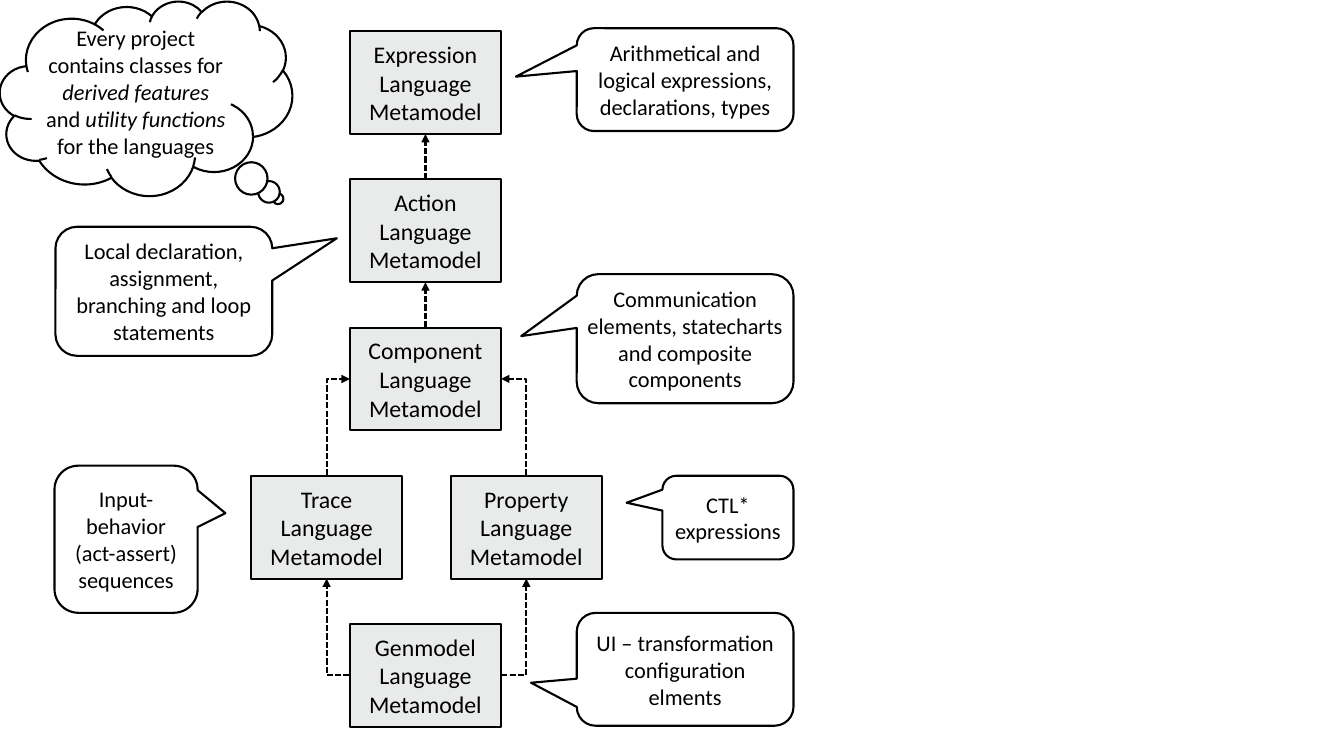
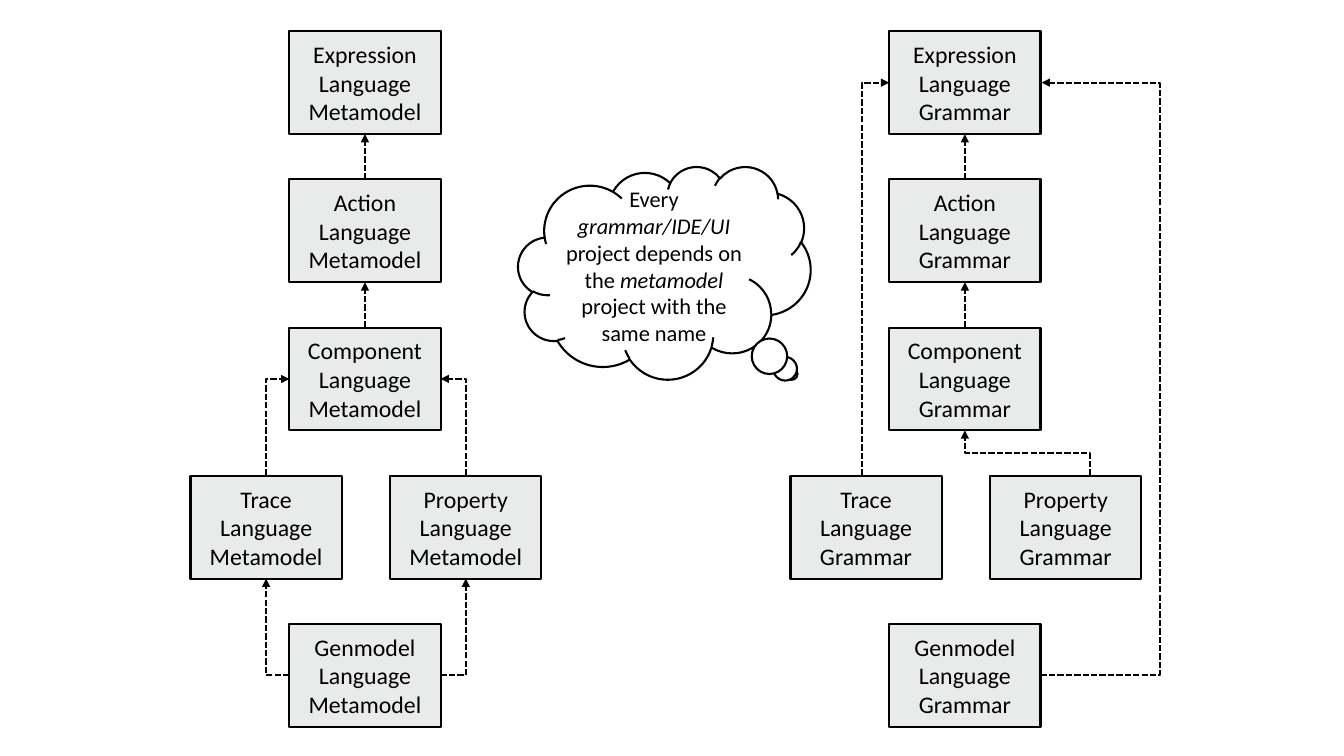
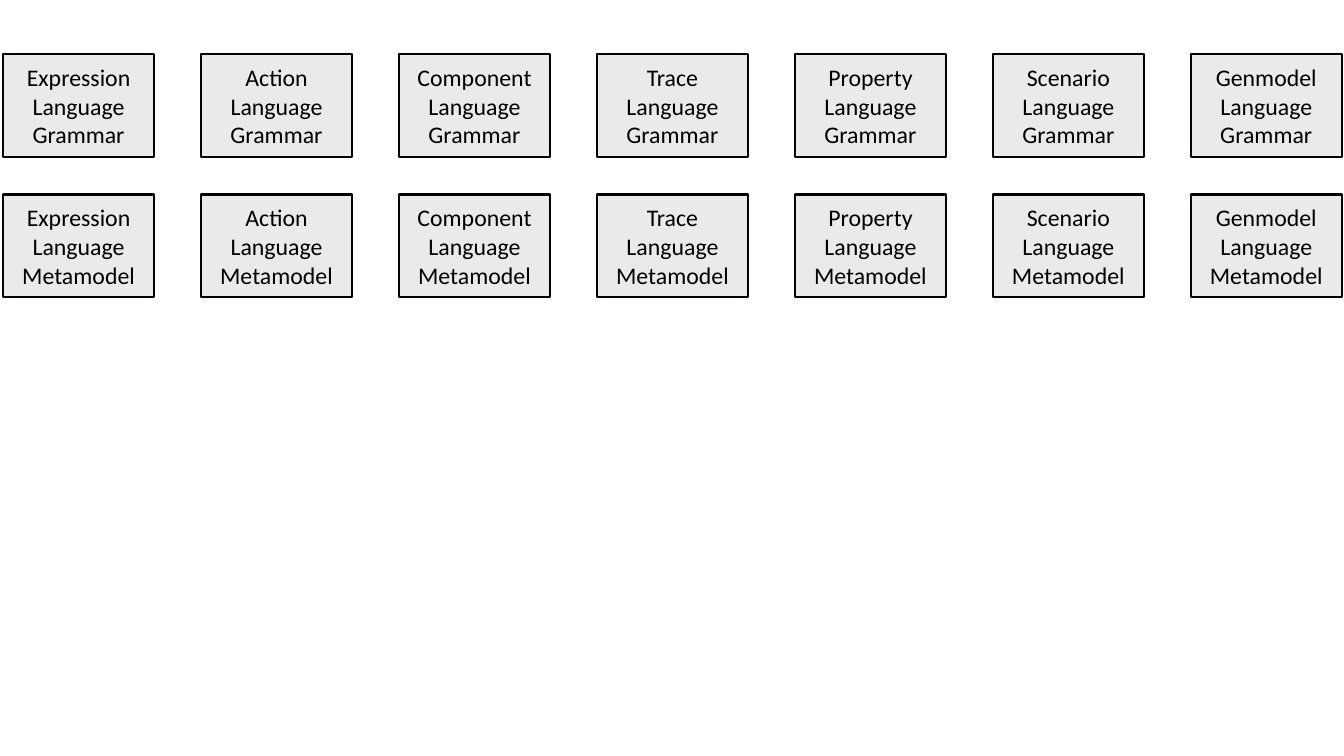
from dataclasses import dataclass

from lxml.etree import SubElement
from pptx import Presentation
from pptx.dml.color import RGBColor
from pptx.enum.dml import MSO_LINE
from pptx.enum.shapes import MSO_CONNECTOR as LINK, MSO_SHAPE as SHAPE
from pptx.enum.text import MSO_ANCHOR, PP_ALIGN
from pptx.oxml.ns import qn
from pptx.util import Inches, Pt


@dataclass(frozen=True)
class Theme:
    font: str = "Calibri"
    ink: RGBColor = RGBColor(0x00, 0x00, 0x00)
    box: RGBColor = RGBColor(0xE9, 0xEA, 0xEA)
    paper: RGBColor = RGBColor(0xFF, 0xFF, 0xFF)
    box_size: float = 17
    note_size: float = 16
    line: float = 1.5


THEME = Theme()
TOP, LEFT, BOTTOM, RIGHT = range(4)
BOX_W, BOX_H = 1.5, 1.02
TREE_TOP, ROW_STEP = 0.31, 1.47

# language: (offset from the main column, row)
TREE = {
    "Expression": (0, 0),
    "Action": (0, 1),
    "Component": (0, 2),
    "Trace": (-0.98, 3),
    "Property": (1, 3),
    "Genmodel": (0, 4),
}

# source, side, target, side, then optional settings
CHAIN = [
    ("Action", TOP, "Expression", BOTTOM, {}),
    ("Component", TOP, "Action", BOTTOM, {}),
]
METAMODEL_ARROWS = CHAIN + [
    ("Trace", TOP, "Component", LEFT, {}),
    ("Property", TOP, "Component", RIGHT, {}),
    ("Genmodel", LEFT, "Trace", BOTTOM, {}),
    ("Genmodel", RIGHT, "Property", BOTTOM, {}),
]
GRAMMAR_ARROWS = CHAIN + [
    ("Trace", TOP, "Expression", LEFT, {"start_x": 8.55}),
    ("Property", TOP, "Component", BOTTOM, {"start_x": 10.81}),
    ("Genmodel", RIGHT, "Expression", RIGHT, {"detour": 1.2}),
]

# left, top, width, height, pointer, text
CALLOUTS = [
    (5.72, 2.72, 2.15, 1.28, (-0.756, -0.02),
     "Communication elements, statecharts and composite components"),
    (5.72, 0.28, 2.15, 1.02, (-0.781, -0.029),
     "Arithmetical and logical expressions, declarations, types"),
    (0.55, 2.25, 2.15, 1.28, (0.798, -0.411),
     "Local declaration, assignment, branching and loop statements"),
    (6.57, 4.72, 1.3, 0.83, (-0.773, -0.177), "CTL* expressions"),
    (0.54, 4.62, 1.42, 1.46, (0.694, -0.177),
     "Input-behavior (act-assert) sequences"),
    (5.72, 6.08, 2.15, 1.12, (-0.711, 0.119),
     "UI – transformation configuration elments"),
]

# runs are (text, italic)
CLASSES_THOUGHT = [
    ("Every project contains classes for ", False),
    ("derived features", True),
    (" and ", False),
    ("utility functions ", True),
    ("for the languages", False),
]
DEPENDS_THOUGHT = [
    ("Every ", False),
    ("grammar/IDE/UI ", True),
    ("project depends on the ", False),
    ("metamodel", True),
    (" project with the same name", False),
]

LANGUAGES = ["Expression", "Action", "Component", "Trace", "Property",
             "Scenario", "Genmodel"]
GRID_LEFT, GRID_LAST = 0.03, 11.81
GRID_ROWS = [("Grammar", 0.54), ("Metamodel", 1.93)]


def add_figure(slide, kind, place, adjustments, fill, runs, size, insets=None):
    """Add an outlined shape with centred text; insets run left, top, right, bottom."""
    figure = slide.shapes.add_shape(kind, *map(Inches, place))
    for i, value in enumerate(adjustments):
        figure.adjustments[i] = value
    figure.shadow.inherit = False
    figure.fill.solid()
    figure.fill.fore_color.rgb = fill
    figure.line.color.rgb = THEME.ink
    figure.line.width = Pt(THEME.line)
    frame = figure.text_frame
    frame.word_wrap = True
    frame.vertical_anchor = MSO_ANCHOR.MIDDLE
    if insets:
        (frame.margin_left, frame.margin_top,
         frame.margin_right, frame.margin_bottom) = map(Inches, insets)
    paragraph = frame.paragraphs[0]
    paragraph.alignment = PP_ALIGN.CENTER
    for text, italic in runs:
        run = paragraph.add_run()
        run.text = text
        run.font.name = THEME.font
        run.font.size = Pt(size)
        run.font.color.rgb = THEME.ink
        if italic:
            run.font.italic = True
    return figure


def add_language(slide, left, top, language, artifact):
    return add_figure(slide, SHAPE.ROUNDED_RECTANGLE, (left, top, BOX_W, BOX_H), [0],
                      THEME.box, [(f"{language} Language {artifact}", False)],
                      THEME.box_size)


def add_callout(slide, left, top, width, height, pointer, text):
    add_figure(slide, SHAPE.ROUNDED_RECTANGULAR_CALLOUT, (left, top, width, height),
               (*pointer, 0.167), THEME.paper, [(text, False)], THEME.note_size,
               (0.04, 0.04, 0.04, 0.04))


def add_thought(slide, place, pointer, runs):
    add_figure(slide, SHAPE.CLOUD_CALLOUT, place, pointer, THEME.paper, runs,
               THEME.note_size, (0.04, 0, 0.04, 0.04))


def side_middle(box, side):
    across = {LEFT: 0, RIGHT: box.width}.get(side, box.width // 2)
    down = {TOP: 0, BOTTOM: box.height}.get(side, box.height // 2)
    return box.left + across, box.top + down


def bend(arrow, start, end, upward, corners, detour):
    """Lay out an elbow that leaves its start upward or sideways."""
    dx, dy = end[0] - start[0], end[1] - start[1]
    width, height = max(abs(dx), Inches(0.01)), abs(dy)
    left, top = min(start[0], end[0]), min(start[1], end[1])
    frame = arrow.element.spPr.find(qn("a:xfrm"))
    if upward:
        # a quarter turn swaps the sides around the same centre
        left, top = left + (width - height) // 2, top + (height - width) // 2
        width, height = height, width
        frame.set("rot", str(270 * 60000))
        flips = False, dx < 0
    else:
        flips = dx < 0, dy < 0
    arrow.left, arrow.top, arrow.width, arrow.height = left, top, width, height
    for key, flipped in zip(("flipH", "flipV"), flips):
        frame.set(key, str(int(flipped)))
    geometry = arrow.element.spPr.find(qn("a:prstGeom"))
    geometry.set("prst", f"bentConnector{corners + 1}")
    if detour:
        guides = geometry.find(qn("a:avLst"))
        if guides is None:
            guides = SubElement(geometry, qn("a:avLst"))
        share = round(Inches(detour) / width * 100000)
        SubElement(guides, qn("a:gd"), name="adj1", fmla=f"val {share}")


def add_arrow(slide, source, source_side, target, target_side, start_x=None, detour=None):
    """Join two boxes; start_x moves the start off the middle of the side."""
    start, end = side_middle(source, source_side), side_middle(target, target_side)
    if start_x is not None:
        start = Inches(start_x), start[1]
    upward = source_side == TOP
    straight = upward and start[0] == end[0]
    arrow = slide.shapes.add_connector(LINK.STRAIGHT if straight else LINK.ELBOW,
                                       *start, *end)
    if start_x is None:
        arrow.begin_connect(source, source_side)
    arrow.end_connect(target, target_side)
    if not straight:
        corners = 2 if source_side % 2 == target_side % 2 else 1
        bend(arrow, start, end, upward, corners, detour)
    arrow.line.color.rgb = THEME.ink
    arrow.line.width = Pt(THEME.line)
    arrow.line.dash_style = MSO_LINE.SQUARE_DOT
    properties = arrow.element.spPr
    SubElement(properties.find(qn("a:ln")), qn("a:tailEnd"), type="triangle")
    SubElement(properties, qn("a:effectLst"))


def add_tree(slide, left, artifact, arrows):
    boxes = {
        language: add_language(slide, left + offset, TREE_TOP + row * ROW_STEP,
                               language, artifact)
        for language, (offset, row) in TREE.items()
    }
    for source, source_side, target, target_side, settings in arrows:
        add_arrow(slide, boxes[source], source_side, boxes[target], target_side, **settings)


def main():
    deck = Presentation()
    deck.slide_width, deck.slide_height = Inches(13.33), Inches(7.5)
    blank = deck.slide_layouts[6]
    explained, compared, listed = (deck.slides.add_slide(blank) for _ in range(3))

    add_tree(explained, 3.47, "Metamodel", METAMODEL_ARROWS)
    for callout in CALLOUTS:
        add_callout(explained, *callout)
    add_thought(explained, (0, 0.01, 2.9, 1.93), (0.451, 0.517), CLASSES_THOUGHT)

    add_tree(compared, 2.87, "Metamodel", METAMODEL_ARROWS)
    add_tree(compared, 8.82, "Grammar", GRAMMAR_ARROWS)
    add_thought(compared, (5.14, 1.65, 2.9, 2.11), (0.435, 0.476), DEPENDS_THOUGHT)

    step = (GRID_LAST - GRID_LEFT) / (len(LANGUAGES) - 1)
    for artifact, top in GRID_ROWS:
        for column, language in enumerate(LANGUAGES):
            add_language(listed, GRID_LEFT + column * step, top, language, artifact)

    deck.save("out.pptx")


if __name__ == "__main__":
    main()
